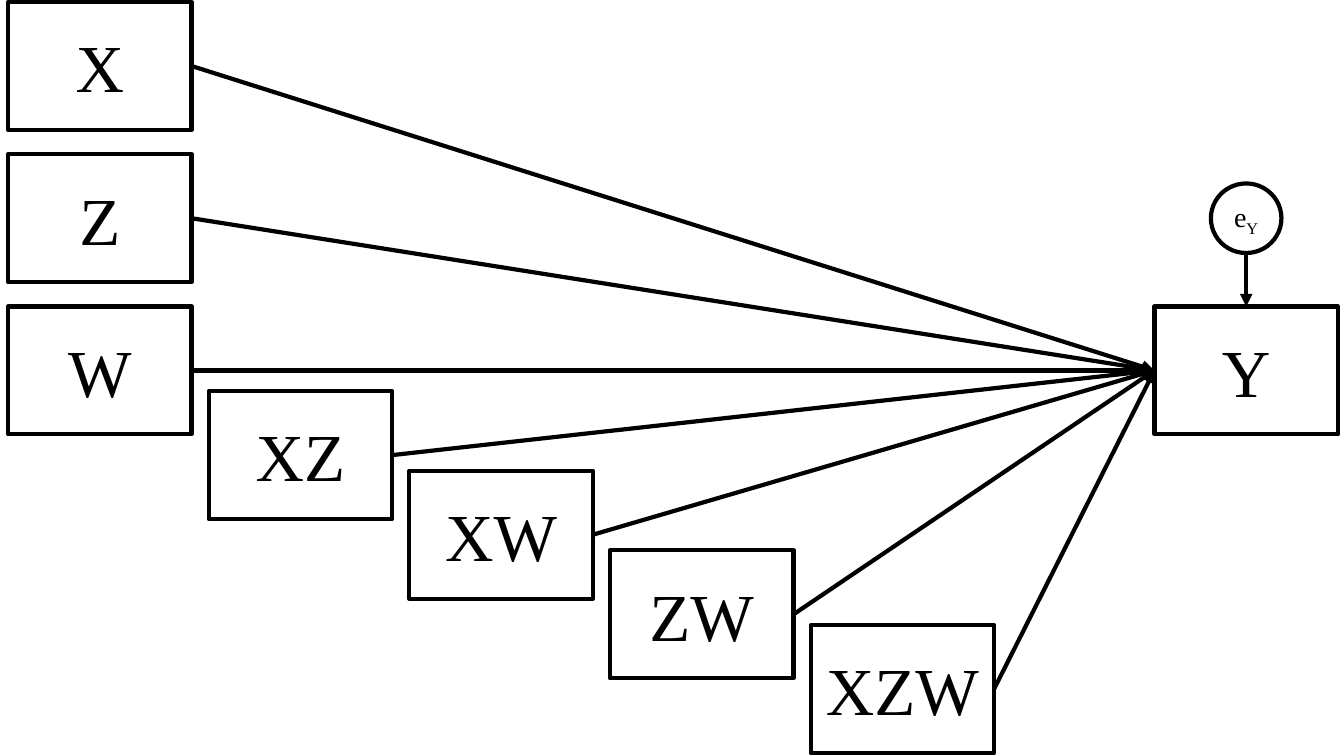
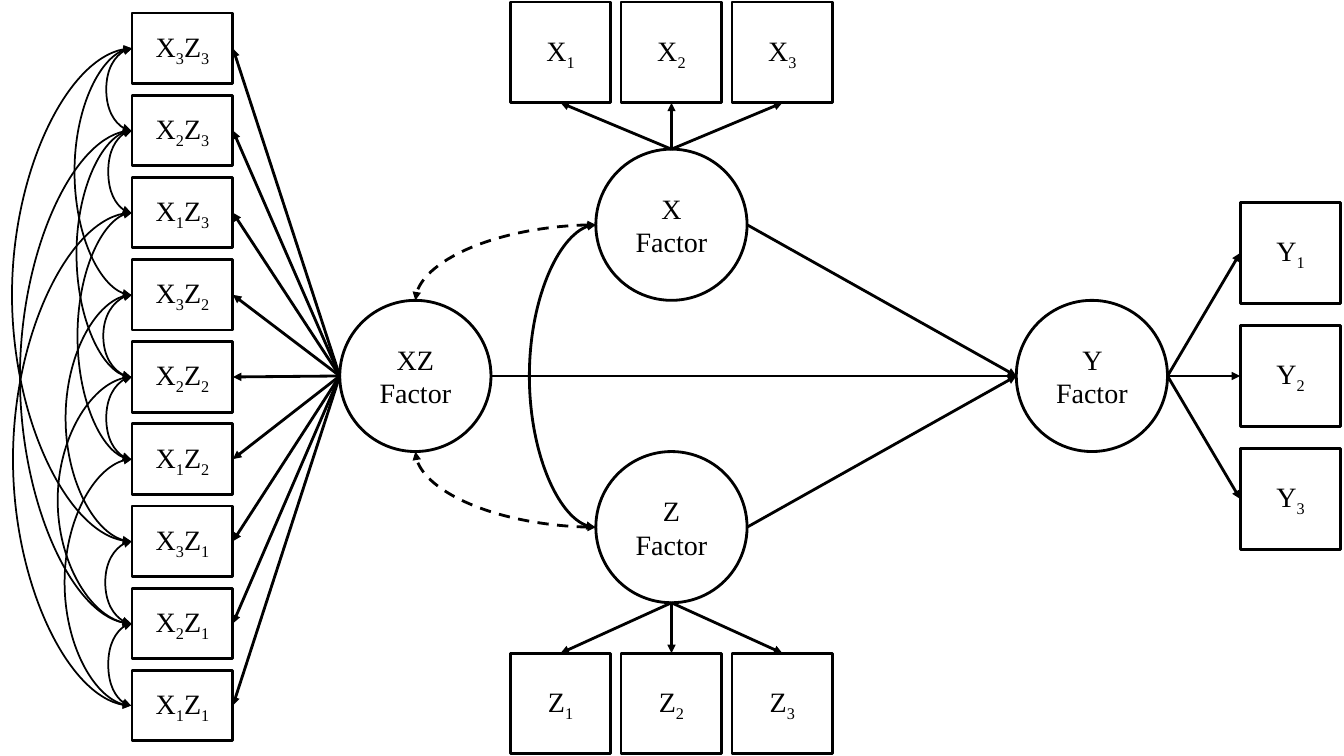
from dataclasses import dataclass

import pptx
import pptx.dml.color
import pptx.enum.dml
import pptx.enum.shapes
import pptx.enum.text
import pptx.oxml.ns
import pptx.util
from lxml import etree

BLACK = pptx.dml.color.RGBColor(0x00, 0x00, 0x00)
WHITE = pptx.dml.color.RGBColor(0xFF, 0xFF, 0xFF)
FONT = "Times New Roman"
SLIDE_WIDTH, SLIDE_HEIGHT = 13.33, 7.5
BLANK_LAYOUT = 6

RECTANGLE = pptx.enum.shapes.MSO_SHAPE.RECTANGLE
OVAL = pptx.enum.shapes.MSO_SHAPE.OVAL
STRAIGHT = pptx.enum.shapes.MSO_CONNECTOR.STRAIGHT
CURVE = pptx.enum.shapes.MSO_CONNECTOR.CURVE

# Shares of a shape's width and height at which an arrow can attach.
SIDES = {"top": (0.5, 0), "left": (0, 0.5), "bottom": (0.5, 1), "right": (1, 0.5)}
# Connection sites run anticlockwise from the top; an oval has twice as many.
SITES = {side: number for number, side in enumerate(SIDES)}
ARC_SKEW = 0.01


@dataclass
class Style:
    text_size: float
    line_width: float


@dataclass
class Node:
    """A variable; an underscore in its label lowers the next character."""
    label: str
    left: float
    top: float
    width: float
    height: float
    kind: int = RECTANGLE
    shape_id: int = 0

    def side(self, name: str) -> tuple[float, float]:
        across, down = SIDES[name]
        return self.left + across * self.width, self.top + down * self.height

    def site(self, name: str) -> int:
        return SITES[name] * (2 if self.kind == OVAL else 1)


@dataclass
class Arc:
    """A covariance between two rows of the product column."""
    first: int
    last: int
    reach: float


MODEL = Style(text_size=48, line_width=3)
ERROR = Style(text_size=20, line_width=3)
FACTOR = Style(text_size=20, line_width=2)
THIN_LINE = 1.25


def tag(name: str) -> str:
    return pptx.oxml.ns.qn(name)


def write_label(box, label: str, size: float) -> None:
    frame = box.text_frame
    frame.word_wrap = True
    frame.vertical_anchor = pptx.enum.text.MSO_ANCHOR.MIDDLE
    para = frame.paragraphs[0]
    para.alignment = pptx.enum.text.PP_ALIGN.CENTER
    para.font.name = FONT
    para.font.size = pptx.util.Pt(size)
    para.font.color.rgb = BLACK
    start, *parts = label.split("_")
    spans = [(start, False)]
    for part in parts:
        spans += [(part[0], True), (part[1:], False)]
    for text, lowered in spans:
        if text:
            span = para.add_run()
            span.text = text
            if lowered:
                span.font._element.set("baseline", "-25000")


def draw_node(page, node: Node, style: Style) -> None:
    lengths = (node.left, node.top, node.width, node.height)
    box = page.shapes.add_shape(node.kind, *map(pptx.util.Inches, lengths))
    box.shadow.inherit = False
    box.fill.solid()
    box.fill.fore_color.rgb = WHITE
    box.line.color.rgb = BLACK
    box.line.width = pptx.util.Pt(style.line_width)
    write_label(box, node.label, style.text_size)
    node.shape_id = box.shape_id


def add_line(page, kind, start, end, width: float, both_ends: bool = False):
    line = page.shapes.add_connector(kind, *map(pptx.util.Inches, (*start, *end)))
    line.line.color.rgb = BLACK
    line.line.width = pptx.util.Pt(width)
    outline = line.line._get_or_add_ln()
    for end_name in ("a:headEnd", "a:tailEnd") if both_ends else ("a:tailEnd",):
        etree.SubElement(outline, tag(end_name)).set("type", "triangle")
    etree.SubElement(line._element.spPr, tag("a:effectLst"))
    return line


def glue(line, source: Node, source_side: str, target: Node, target_side: str) -> None:
    """Attach both ends to connection sites, which ovals number differently."""
    holder = line._element.find(".//" + tag("p:cNvCxnSpPr"))
    ends = (("a:stCxn", source, source_side), ("a:endCxn", target, target_side))
    for name, node, side in ends:
        link = etree.SubElement(holder, tag(name))
        link.set("id", str(node.shape_id))
        link.set("idx", str(node.site(side)))


def draw_arrow(page, source: Node, source_side: str, target: Node,
               target_side: str, width: float) -> None:
    line = add_line(page, STRAIGHT, source.side(source_side),
                    target.side(target_side), width)
    glue(line, source, source_side, target, target_side)


def turn_leftward(line, downward: bool) -> None:
    """Express a leftward curve as a half turn instead of a mirror."""
    frame = line._element.spPr.find(tag("a:xfrm"))
    for mirror in ("flipH", "flipV"):
        frame.attrib.pop(mirror, None)
    frame.set("rot", "10800000")
    if downward:
        frame.set("flipV", "1")


def draw_arc(page, x: float, top: float, bottom: float, reach: float,
             width: float) -> None:
    """Join two points on a vertical line by an arc that bulges left to reach."""
    line = add_line(page, CURVE, (x, top), (x - ARC_SKEW, bottom), width, True)
    turn_leftward(line, downward=True)
    adjustments = line._element.spPr.find(tag("a:prstGeom")).find(tag("a:avLst"))
    guide = etree.SubElement(adjustments, tag("a:gd"))
    guide.set("name", "adj1")
    guide.set("fmla", f"val {round((x - reach) / ARC_SKEW * 100000)}")


def draw_dashed_bend(page, source: Node, target: Node, target_side: str) -> None:
    start, end = source.side("left"), target.side(target_side)
    line = add_line(page, CURVE, start, end, FACTOR.line_width, True)
    line.line.dash_style = pptx.enum.dml.MSO_LINE.DASH
    line._element.spPr.find(tag("a:prstGeom")).set("prst", "curvedConnector2")
    turn_leftward(line, downward=end[1] > start[1])
    glue(line, source, "left", target, target_side)


def build_moderation_model(deck) -> None:
    page = deck.slides.add_slide(deck.slide_layouts[BLANK_LAYOUT])
    width, height = 1.82, 1.27
    predictors = [Node(label, 0.08, 0.02 + 1.51 * row, width, height)
                  for row, label in enumerate(("X", "Z", "W"))]
    steps = (("XZ", 3.88), ("XW", 4.67), ("ZW", 5.46), ("XZW", 6.2))
    predictors += [Node(label, 2.07 + 1.99 * column, top, width, height)
                   for column, (label, top) in enumerate(steps)]
    outcome = Node("Y", 11.45, 3.04, width, height)
    error = Node("e_Y", 12.01, 1.82, 0.7, 0.69, OVAL)

    for node in (*predictors, outcome):
        draw_node(page, node, MODEL)
    draw_node(page, error, ERROR)
    for predictor in predictors:
        draw_arrow(page, predictor, "right", outcome, "left", MODEL.line_width)
    draw_arrow(page, error, "bottom", outcome, "top", ERROR.line_width)


PRODUCT_ARCS = (
    Arc(0, 3, 0.73), Arc(1, 4, 0.75), Arc(2, 5, 0.76),
    Arc(0, 1, 1.05), Arc(1, 2, 1.07),
    Arc(0, 6, 0.10), Arc(1, 7, 0.18), Arc(2, 8, 0.11),
    Arc(5, 8, 0.63), Arc(4, 7, 0.56), Arc(3, 6, 0.64),
    Arc(3, 4, 1.02), Arc(4, 5, 1.05),
    Arc(6, 7, 1.04), Arc(7, 8, 1.07),
)


def build_latent_model(deck) -> None:
    page = deck.slides.add_slide(deck.slide_layouts[BLANK_LAYOUT])
    size, diameter = 1, 1.5
    product_labels = [f"X_{x}Z_{z}" for z in (3, 2, 1) for x in (3, 2, 1)]
    products = [Node(label, 1.31, 0.13 + 6.52 / 8 * row, size, 0.7)
                for row, label in enumerate(product_labels)]
    x_items, z_items = (
        [Node(f"{letter}_{column + 1}", 5.06 + 1.1 * column, top, size, size)
         for column in range(3)]
        for letter, top in (("X", 0.02), ("Z", 6.48)))
    y_items = [Node(f"Y_{row + 1}", 12.3, 2.01 + 1.22 * row, size, size)
               for row in range(3)]
    xz_factor, x_factor, z_factor, y_factor = factors = [
        Node(f"{name} Factor", left, top, diameter, diameter, OVAL)
        for name, left, top in (("XZ", 3.37, 2.98), ("X", 5.91, 1.48),
                                ("Z", 5.91, 4.48), ("Y", 10.08, 2.98))]

    for node in (*products, *x_items, *z_items, *y_items, *factors):
        draw_node(page, node, FACTOR)

    loadings = ((xz_factor, "left", products, "right"),
                (x_factor, "top", x_items, "bottom"),
                (z_factor, "bottom", z_items, "top"),
                (y_factor, "right", y_items, "left"))
    for factor, factor_side, items, item_side in loadings:
        for item in items:
            draw_arrow(page, factor, factor_side, item, item_side, FACTOR.line_width)
    for factor in (x_factor, z_factor, xz_factor):
        draw_arrow(page, factor, "right", y_factor, "left", FACTOR.line_width)

    x, top = x_factor.side("left")
    draw_arc(page, x, top, z_factor.side("left")[1], 5.24, FACTOR.line_width)
    draw_dashed_bend(page, x_factor, xz_factor, "top")
    draw_dashed_bend(page, z_factor, xz_factor, "bottom")
    for arc in PRODUCT_ARCS:
        x, top = products[arc.first].side("left")
        bottom = products[arc.last].side("left")[1]
        draw_arc(page, x, top, bottom, arc.reach, THIN_LINE)


def main() -> None:
    deck = pptx.Presentation()
    deck.slide_width = pptx.util.Inches(SLIDE_WIDTH)
    deck.slide_height = pptx.util.Inches(SLIDE_HEIGHT)
    build_moderation_model(deck)
    build_latent_model(deck)
    deck.save("out.pptx")


if __name__ == "__main__":
    main()
